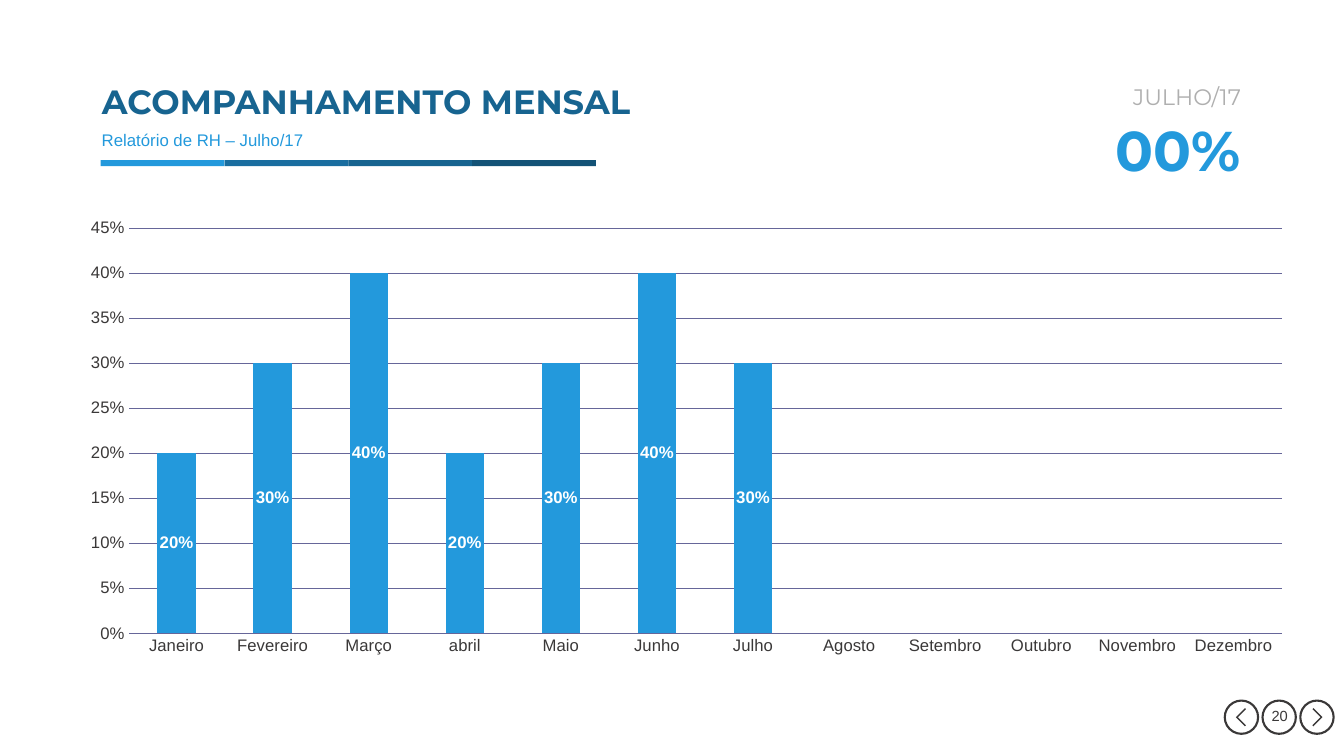
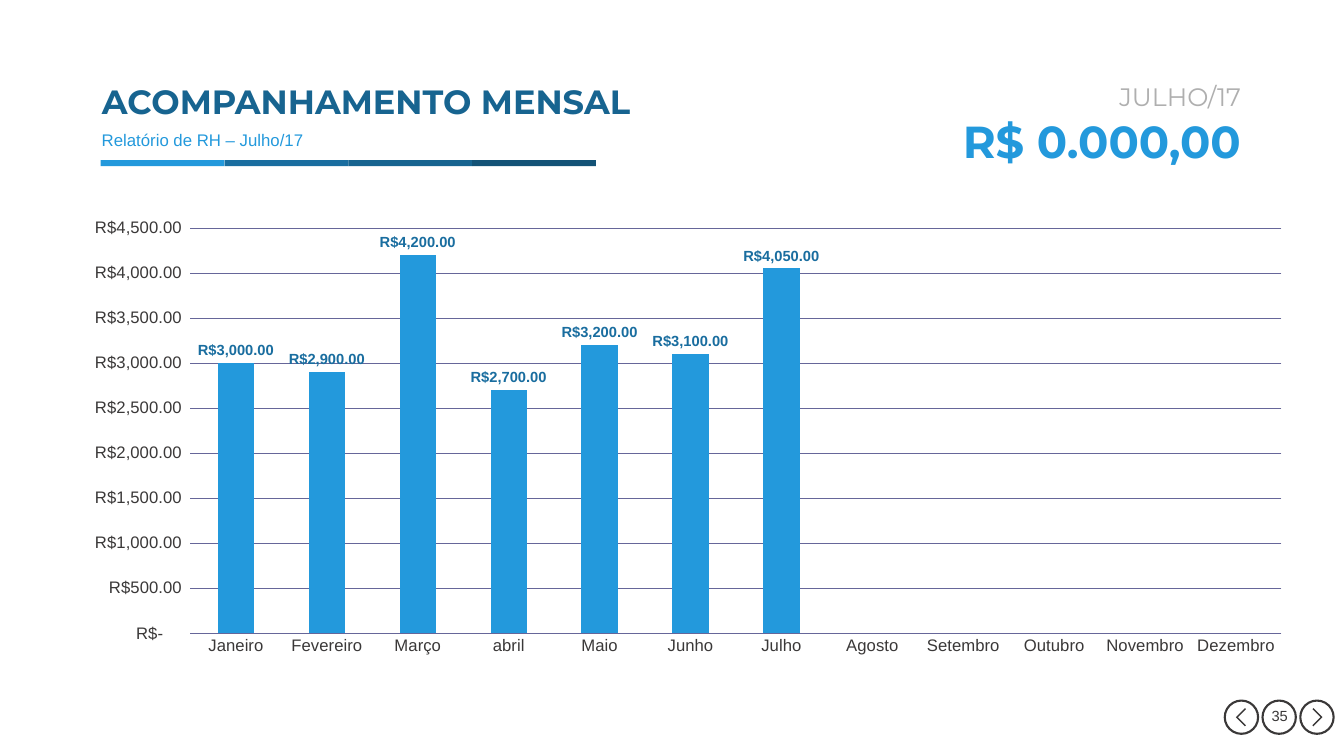
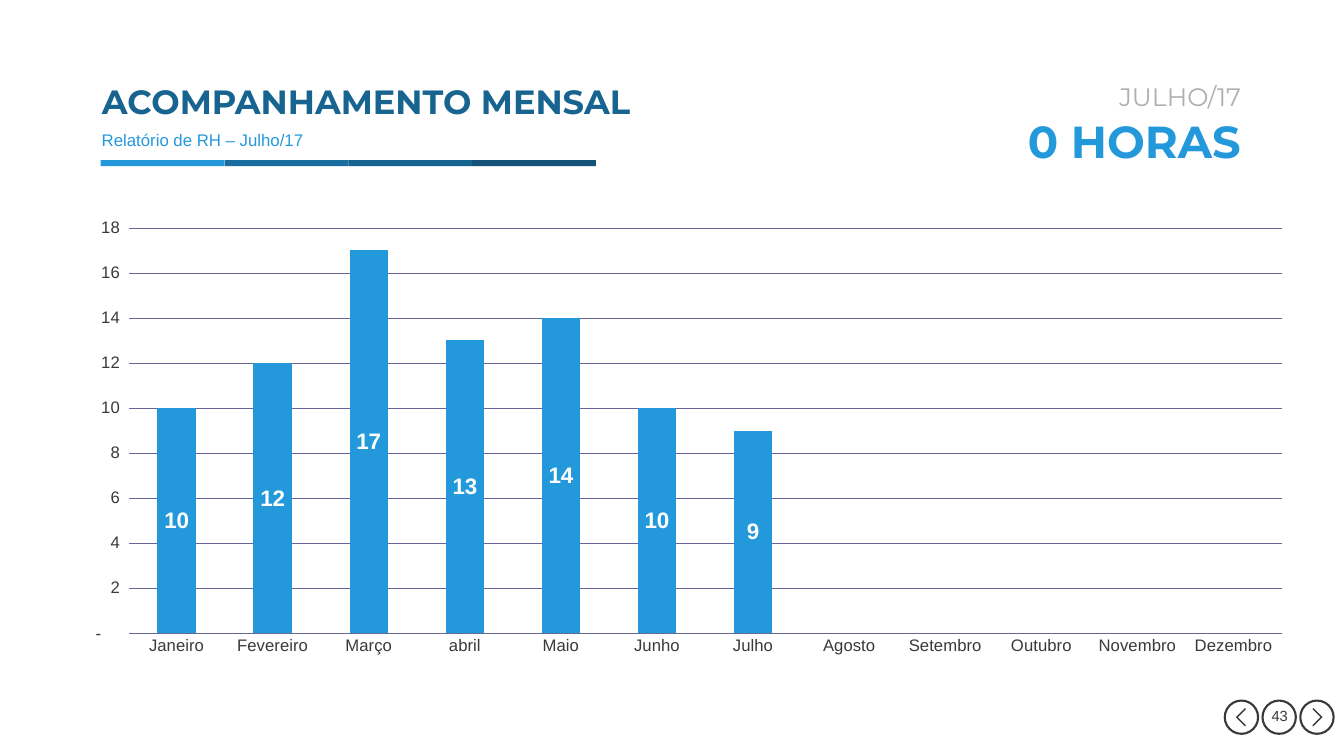
import pptx
import pptx.chart.data
import pptx.dml.color
import pptx.enum.chart
import pptx.enum.shapes
import pptx.enum.text
import pptx.oxml
import pptx.oxml.ns
import pptx.util

RGBColor = pptx.dml.color.RGBColor
ALIGN = pptx.enum.text.PP_ALIGN
ANCHOR = pptx.enum.text.MSO_ANCHOR
SHAPE = pptx.enum.shapes.MSO_SHAPE
LABEL = pptx.enum.chart.XL_LABEL_POSITION

BRIGHT_BLUE = RGBColor(0x23, 0x99, 0xDC)
MID_BLUE = RGBColor(0x19, 0x6D, 0x9F)
TITLE_BLUE = RGBColor(0x17, 0x64, 0x90)
DEEP_BLUE = RGBColor(0x13, 0x52, 0x76)
GRID_PURPLE = RGBColor(0x66, 0x66, 0x99)
GREY = RGBColor(0xAF, 0xAF, 0xAF)
INK = RGBColor(0x3A, 0x38, 0x38)
WHITE = RGBColor(0xFF, 0xFF, 0xFF)
BANDS = (BRIGHT_BLUE, MID_BLUE, TITLE_BLUE, DEEP_BLUE)

HEADING_FONT = "Montserrat"
BODY_FONT = "Arial"

SLIDE_WIDTH = pptx.util.Inches(13.33)
SLIDE_HEIGHT = pptx.util.Inches(7.5)
COLUMN = SLIDE_WIDTH / 100
ROW = SLIDE_HEIGHT / 100

BAND_LEFT, BAND_TOP, BAND_WIDTH, BAND_HEIGHT = 7.5, 21.2, 9.21, 0.8
BUTTON_LEFT, BUTTON_TOP, BUTTON_WIDTH, BUTTON_HEIGHT = 91.13, 92.67, 2.48, 4.4
BUTTON_PITCH = 2.81
CHEVRON = ((-0.26, -1.2), (0.41, 0), (-0.26, 1.2), (-0.34, 1.07), (0.26, 0), (-0.34, -1.07))

MONTHS = ("Janeiro", "Fevereiro", "Março", "abril", "Maio", "Junho", "Julho",
          "Agosto", "Setembro", "Outubro", "Novembro", "Dezembro")
REAIS = '_-"R$"* #,##0.00_-;\\-"R$"* #,##0.00_-;_-"R$"* "-"??_-;_-@_-'
HOURS = '_-* #,##0_-;\\-* #,##0_-;_-* "-"??_-;_-@_-'

REPORTS = (
    dict(page="20", figure="00%", figure_size=40, figure_top=15.33, month_size=16,
         values=(0.2, 0.3, 0.4, 0.2, 0.3, 0.4, 0.3), step=0.05, number_format="0%",
         label_position=LABEL.CENTER, label_size=12, label_color=WHITE,
         plot_left=0.05, plot_width=0.93),
    dict(page="35", figure="R$ 0.000,00", figure_size=32, figure_top=14, month_size=18,
         values=(3000, 2900, 4200, 2700, 3200, 3100, 4050), step=500, number_format=REAIS,
         label_position=LABEL.OUTSIDE_END, label_size=10.5, label_color=MID_BLUE,
         plot_left=0.1, plot_width=0.88),
    dict(page="43", figure="0 HORAS", figure_size=32, figure_top=14, month_size=18,
         values=(10, 12, 17, 13, 14, 10, 9), step=2, number_format=HOURS,
         label_position=LABEL.CENTER, label_size=16, label_color=WHITE,
         plot_left=0.05, plot_width=0.93),
)


def area(left, top, width, height):
    return (round(left * COLUMN), round(top * ROW),
            round(width * COLUMN), round(height * ROW))


def style_font(font, size, color, name=BODY_FONT, bold=False):
    font.size = pptx.util.Pt(size)
    font.color.rgb = color
    font.name = name
    font.bold = bold


def write(box, text, size, color, name=BODY_FONT, bold=False,
          align=ALIGN.LEFT, anchor=ANCHOR.MIDDLE):
    frame = box.text_frame
    frame.text = text
    frame.word_wrap = True
    frame.auto_size = pptx.enum.text.MSO_AUTO_SIZE.NONE
    frame.vertical_anchor = anchor
    paragraph = frame.paragraphs[0]
    paragraph.alignment = align
    paragraph.line_spacing = 0.9
    style_font(paragraph.runs[0].font, size, color, name, bold)


def add_text(slide, place, text, size, color, **style):
    write(slide.shapes.add_textbox(*area(*place)), text, size, color, **style)


def fill_plain(shape, color):
    shape.shadow.inherit = False
    shape.fill.solid()
    shape.fill.fore_color.rgb = color
    shape.line.fill.background()


def add_heading(slide):
    title = slide.shapes.title
    title.left, title.top, title.width, title.height = area(6.83, 10, 43.65, 7.47)
    write(title, "ACOMPANHAMENTO MENSAL", 24, TITLE_BLUE, HEADING_FONT, True)
    add_text(slide, (6.83, 16.8, 85, 3.73), "Relatório de RH – Julho/17", 12,
             BRIGHT_BLUE, anchor=ANCHOR.TOP)
    underline = slide.shapes.add_group_shape()
    for index, color in enumerate(BANDS):
        band = underline.shapes.add_shape(SHAPE.RECTANGLE, *area(
            BAND_LEFT + index * BAND_WIDTH, BAND_TOP, BAND_WIDTH, BAND_HEIGHT))
        fill_plain(band, color)


def add_chevron(slide, center, direction):
    middle = BUTTON_TOP + BUTTON_HEIGHT / 2
    points = [(round((center + direction * x) * COLUMN), round((middle + y) * ROW))
              for x, y in CHEVRON]
    builder = slide.shapes.build_freeform(*points[0])
    builder.add_line_segments(points[1:], close=True)
    fill_plain(builder.convert_to_shape(), INK)


def add_navigation(slide, page):
    for index, direction in enumerate((-1, 0, 1)):
        left = BUTTON_LEFT + index * BUTTON_PITCH
        button = slide.shapes.add_shape(SHAPE.OVAL, *area(
            left, BUTTON_TOP, BUTTON_WIDTH, BUTTON_HEIGHT))
        button.shadow.inherit = False
        button.fill.background()
        button.line.color.rgb = INK
        button.line.width = pptx.util.Pt(1.5)
        if direction:
            add_chevron(slide, left + BUTTON_WIDTH / 2, direction)
    add_text(slide, (92.25, 91.47, 5.93, 6.8), page, 10.5, INK, align=ALIGN.CENTER)


def add_month_figure(slide, report):
    add_text(slide, (68.85, report["figure_top"], 24.23, 10), report["figure"],
             report["figure_size"], BRIGHT_BLUE, name=HEADING_FONT, bold=True,
             align=ALIGN.RIGHT)
    add_text(slide, (71.85, 9.33, 21.23, 7.47), "JULHO/17", report["month_size"],
             GREY, name=HEADING_FONT, align=ALIGN.RIGHT)


def set_plot_area(chart, left, width):
    sizes = "".join(f'<c:{tag} val="{value}"/>' for tag, value in (
        ("layoutTarget", "inner"), ("xMode", "edge"), ("yMode", "edge"),
        ("x", left), ("y", 0.04), ("w", width), ("h", 0.89)))
    layout = pptx.oxml.parse_xml(
        f'<c:layout {pptx.oxml.ns.nsdecls("c")}>'
        f'<c:manualLayout>{sizes}</c:manualLayout></c:layout>')
    plot_area = chart.plots[0]._element.getparent()
    for automatic in plot_area.findall(pptx.oxml.ns.qn("c:layout")):
        plot_area.remove(automatic)
    plot_area.insert(0, layout)


def style_axis(axis):
    axis.major_tick_mark = axis.minor_tick_mark = pptx.enum.chart.XL_TICK_MARK.NONE
    axis.format.line.fill.background()
    style_font(axis.tick_labels.font, 11.9, INK)


def add_monthly_chart(slide, report):
    data = pptx.chart.data.CategoryChartData(number_format=report["number_format"])
    data.categories = MONTHS
    values = report["values"]
    data.add_series("Series 1", values + (None,) * (len(MONTHS) - len(values)))
    chart = slide.shapes.add_chart(
        pptx.enum.chart.XL_CHART_TYPE.COLUMN_CLUSTERED,
        *area(4.95, 27.73, 92.25, 60.27), data).chart
    chart.has_title = False
    chart.has_legend = False
    style_font(chart.font, 10, INK)
    set_plot_area(chart, report["plot_left"], report["plot_width"])

    style_axis(chart.category_axis)
    scale = chart.value_axis
    style_axis(scale)
    scale.minimum_scale = 0
    scale.maximum_scale = round(9 * report["step"], 2)
    scale.major_unit = report["step"]
    scale.tick_labels.number_format = report["number_format"]
    scale.tick_labels.number_format_is_linked = False
    scale.major_gridlines.format.line.color.rgb = GRID_PURPLE
    scale.major_gridlines.format.line.width = pptx.util.Pt(0.25)

    plot = chart.plots[0]
    plot.gap_width = 150
    plot.vary_by_categories = False
    bars = plot.series[0]
    bars.format.fill.solid()
    bars.format.fill.fore_color.rgb = BRIGHT_BLUE
    labels = bars.data_labels
    labels.show_value = True
    labels.position = report["label_position"]
    labels.number_format = report["number_format"]
    labels.number_format_is_linked = False
    style_font(labels.font, report["label_size"], report["label_color"], bold=True)


def main():
    deck = pptx.Presentation()
    deck.slide_width = SLIDE_WIDTH
    deck.slide_height = SLIDE_HEIGHT
    title_only = deck.slide_layouts[5]
    for report in REPORTS:
        slide = deck.slides.add_slide(title_only)
        add_navigation(slide, report["page"])
        add_heading(slide)
        add_month_figure(slide, report)
        add_monthly_chart(slide, report)
    deck.save("out.pptx")


if __name__ == "__main__":
    main()
